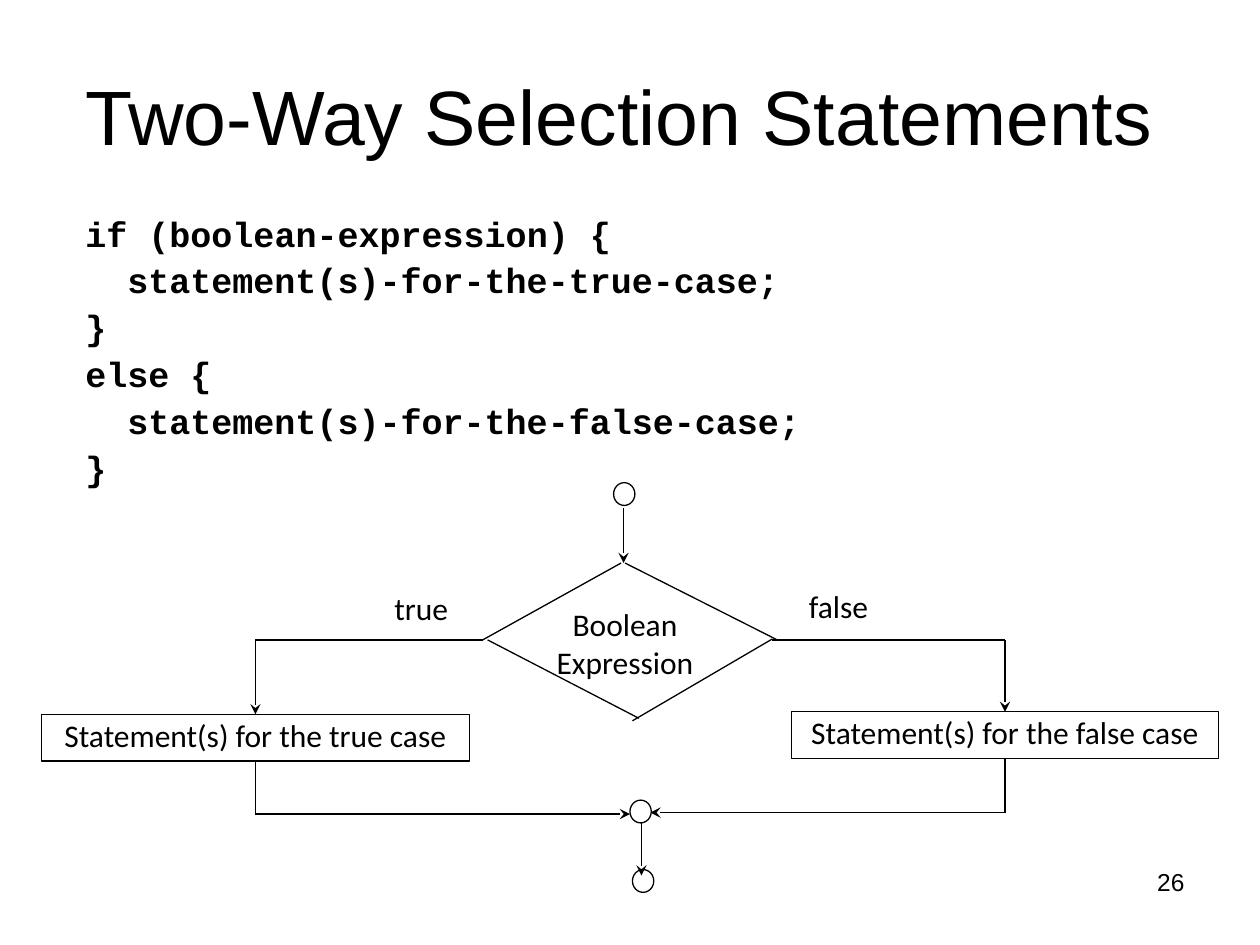
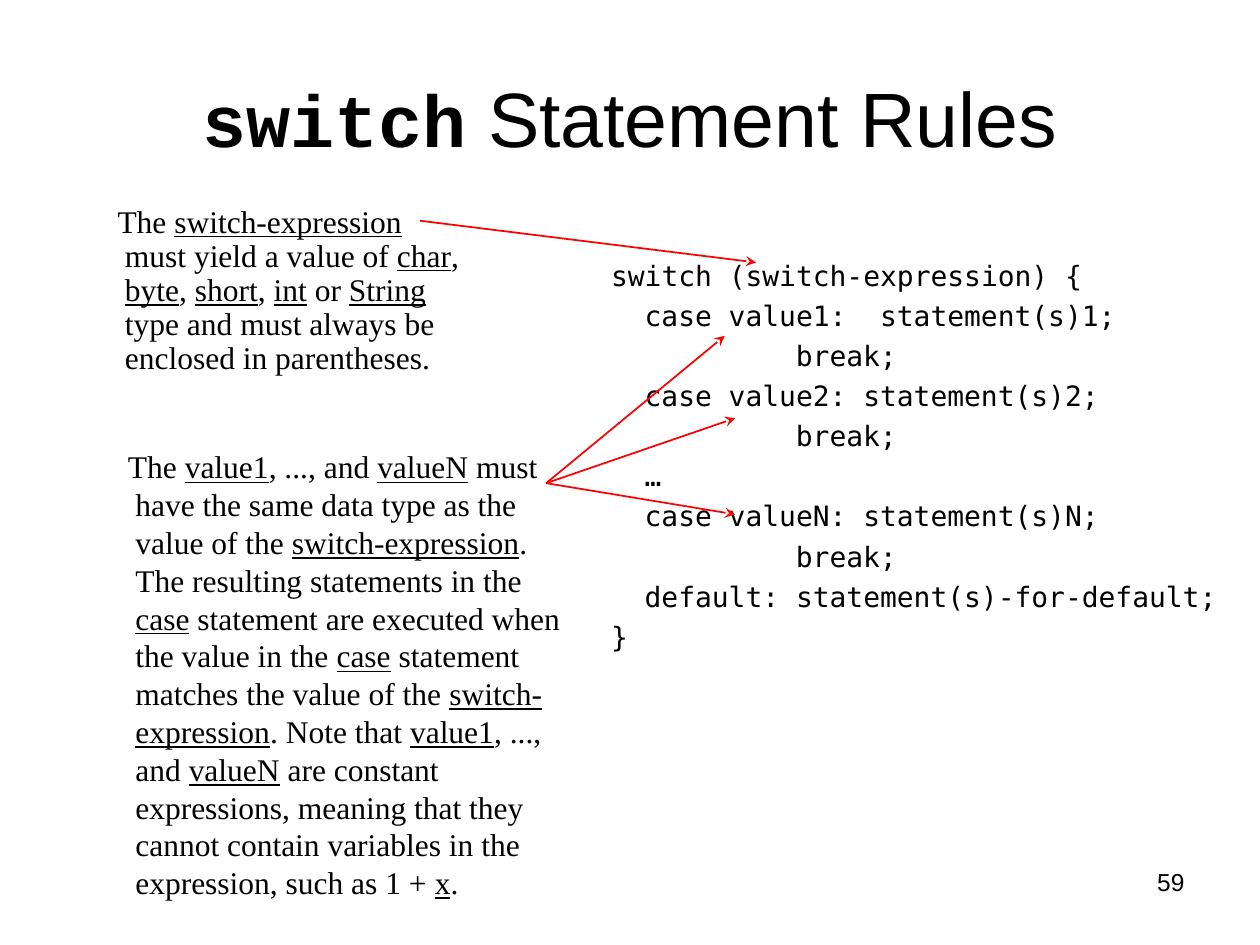
from dataclasses import dataclass

from pptx import Presentation
from pptx.dml.color import RGBColor
from pptx.enum.shapes import MSO_CONNECTOR, MSO_SHAPE
from pptx.enum.text import MSO_ANCHOR, MSO_AUTO_SIZE, PP_ALIGN
from pptx.oxml.ns import qn
from pptx.util import Cm, Pt
from lxml import etree

LEFT, CENTER, RIGHT = PP_ALIGN.LEFT, PP_ALIGN.CENTER, PP_ALIGN.RIGHT
TOP, MIDDLE, BOTTOM = MSO_ANCHOR.TOP, MSO_ANCHOR.MIDDLE, MSO_ANCHOR.BOTTOM
NO_FIT = MSO_AUTO_SIZE.NONE
STRAIGHT = MSO_CONNECTOR.STRAIGHT
RECT, OVAL = MSO_SHAPE.RECTANGLE, MSO_SHAPE.OVAL


@dataclass(frozen=True)
class Theme:
    ink = RGBColor(0, 0, 0)
    paper = RGBColor(255, 255, 255)
    accent = RGBColor(255, 0, 0)
    title = ("Arial", 44)
    keyword = ("Courier New", 42)
    syntax = ("Courier New", 20)
    listing = ("DejaVu Sans Mono", 16)
    chart = ("Calibri", 18)
    note = ("Times New Roman", 18)
    number = ("Arial", 14)
    thin = Pt(0.75)
    bold = Pt(1)


def write(shape, text, font, align=LEFT, anchor=TOP, inset=(0.25, 0.13)):
    """Fill a shape with lines of text; parts between bars are underlined."""
    frame = shape.text_frame
    frame.text = text
    frame.word_wrap = True
    frame.auto_size = NO_FIT
    frame.vertical_anchor = anchor
    frame.margin_left = frame.margin_right = Cm(inset[0])
    frame.margin_top = frame.margin_bottom = Cm(inset[1])
    for par in frame.paragraphs:
        par.alignment = align
        parts = par.text.split("|")
        par.text = parts[0]
        for part in parts[1:]:
            par.add_run().text = part
        for i, run in enumerate(par.runs):
            run.font.name, run.font.size = font[0], Pt(font[1])
            run.font.color.rgb = Theme.ink
            if i % 2:
                run.font.underline = True


def draw(slide, start, end, arrow=False, color=Theme.ink, width=Theme.thin):
    """Add a straight line, with an arrowhead at its end if asked."""
    line = slide.shapes.add_connector(STRAIGHT, *map(Cm, start + end))
    line.line.color.rgb = color
    line.line.width = width
    if arrow:
        tail = etree.SubElement(line.line._get_or_add_ln(), qn("a:tailEnd"))
        tail.set("type", "stealth")
    etree.SubElement(line._element.spPr, qn("a:effectLst"))
    return line


syntax = """if (boolean-expression) {
  statement(s)-for-the-true-case;
}
else {
  statement(s)-for-the-false-case;
}"""
listing = """switch (switch-expression) {
  case value1:  statement(s)1;
           break;
  case value2: statement(s)2;
           break;
  …
  case valueN: statement(s)N;
           break;
  default: statement(s)-for-default;
}"""

# Title, its height and anchor, page, code, code box, font, bold, spacing
pages = [
    ("Two-Way Selection Statements ", 2.62, BOTTOM, "26", syntax,
     (1.47, 4.24, 22.23, 5.72), Theme.syntax, True, 0.9, 5.2),
    ("switch Statement Rules", 3.18, MIDDLE, "59", listing,
     (12.07, 5.08, 12.85, 10.59), Theme.listing, False, 1.0, 3.7),
]

deck = Presentation()
deck.slide_width, deck.slide_height = Cm(25.4), Cm(19.05)
slides = []
for name, height, anchor, page, code, box, font, heavy, pitch, gap in pages:
    slide = deck.slides.add_slide(deck.slide_layouts[1])
    slides.append(slide)

    title = slide.shapes.title
    title.left, title.top = Cm(1.27), Cm(0.76)
    title.width, title.height = Cm(22.86), Cm(height)
    write(title, name, Theme.title, CENTER, anchor)

    body = slide.placeholders[1]
    body.left, body.top, body.width, body.height = map(Cm, box)
    lines = code.split("\n")
    write(body, "\n".join(line.strip() for line in lines), font)
    for line, par in zip(lines, body.text_frame.paragraphs):
        par.line_spacing = pitch
        par.space_before = Pt(gap)
        par.runs[0].font.bold = heavy
        depth = len(line) - len(line.lstrip())
        props = par._p.get_or_add_pPr()
        props.set("marL", str(Pt(depth * font[1] * 0.6)))
        props.set("indent", "0")
        etree.SubElement(props, qn("a:buNone"))

    number = slide.shapes.add_textbox(Cm(18.21), Cm(17.35), Cm(5.92), Cm(1.32))
    write(number, page, Theme.number, RIGHT)

flow, rules = slides

# Flow chart: the question, then its two branches
ask = flow.shapes.add_shape(RECT, Cm(10.57), Cm(12.17), Cm(4.06), Cm(1.65))
tags = [(ask, "Boolean\nExpression", Theme.paper)]

for start, end in [
    ((12.52, 11.35), (9.73, 12.9)),
    ((15.57, 12.88), (12.75, 14.53)),
    ((12.6, 11.35), (15.67, 12.9)),
    ((9.83, 12.9), (12.88, 14.48)),
]:
    draw(flow, start, end)

wire = 12.9
wide, high = 8.62, 0.94
branches = [
    ("true", (7.57, 11.84), (0.84, 14.4), 9.73, (12.7, 16.41)),
    ("false", (15.98, 11.81), (15.95, 14.35), 15.57, (13.11, 16.38)),
]
for case, spot, (left, top), corner, tip in branches:
    label = flow.shapes.add_shape(RECT, *map(Cm, spot), Cm(1.85), Cm(0.86))
    step = flow.shapes.add_shape(RECT, Cm(left), Cm(top), Cm(wide), Cm(high))
    tags.append((label, case, Theme.paper))
    tags.append((step, f"Statement(s) for the {case} case", Theme.ink))

    mid = left + wide / 2
    draw(flow, (corner, wire), (mid, wire))
    draw(flow, (mid, wire), (mid, top), True).end_connect(step, 0)
    draw(flow, (mid, top + high), (mid, tip[1])).begin_connect(step, 2)
    draw(flow, (mid, tip[1]), tip, True)

for shape, text, edge in tags:
    shape.shadow.inherit = False
    shape.fill.solid()
    shape.fill.fore_color.rgb = Theme.paper
    shape.line.color.rgb = edge
    shape.line.width = Theme.thin
    write(shape, text, Theme.chart, CENTER, inset=(0.03, 0.03))

for left, top in [(12.37, 9.73), (12.7, 16.13), (12.75, 17.53)]:
    node = flow.shapes.add_shape(OVAL, Cm(left), Cm(top), Cm(0.43), Cm(0.46))
    node.shadow.inherit = False
    node.fill.solid()
    node.fill.fore_color.rgb = Theme.paper
    node.line.color.rgb = Theme.ink
    node.line.width = Theme.thin

draw(flow, (12.57, 10.24), (12.57, 11.35), True)
draw(flow, (12.93, 16.59), (12.93, 17.65), True)

# Switch rules: keyword in the title, then notes with pointers
par = rules.shapes.title.text_frame.paragraphs[0]
word, rest = par.runs[0], par.add_run()
word.text, rest.text = "switch", " Statement Rules"
word.font.name, word.font.size = Theme.keyword[0], Pt(Theme.keyword[1])
word.font.bold = True
rest.font.name, rest.font.size = Theme.title[0], Pt(Theme.title[1])
rest.font.color.rgb = Theme.ink

notes = [
    ("The |switch-expression| must yield a value of |char|, |byte|, |short|, "
     "|int| or |String| type and must always be enclosed in parentheses.",
     (2.12, 4.02, 7.62, 3.61), 0.9, (8.47, 4.45), [(15.24, 5.29)]),
    ("The |value1|, ..., and |valueN| must have the same data type as the "
     "value of the |switch-expression|. The resulting statements in the "
     "|case| statement are executed when the value in the |case| statement "
     "matches the value of the |switch-expression|. Note that |value1|, ..., "
     "and |valueN| are constant expressions, meaning that they cannot contain "
     "variables in the expression, such as 1 + |x|.",
     (2.33, 8.89, 9.53, 9.53), 1.0, (11.01, 9.74),
     [(14.61, 6.77), (14.82, 8.43), (14.82, 10.37)]),
]
for text, box, pitch, start, ends in notes:
    note = rules.shapes.add_textbox(*map(Cm, box))
    write(note, text, Theme.note)
    par = note.text_frame.paragraphs[0]
    par.line_spacing = pitch
    props = par._p.get_or_add_pPr()
    props.set("marL", str(Cm(0.15)))
    props.set("indent", str(-Cm(0.15)))
    for end in ends:
        draw(rules, start, end, True, Theme.accent, Theme.bold)

deck.save("out.pptx")
